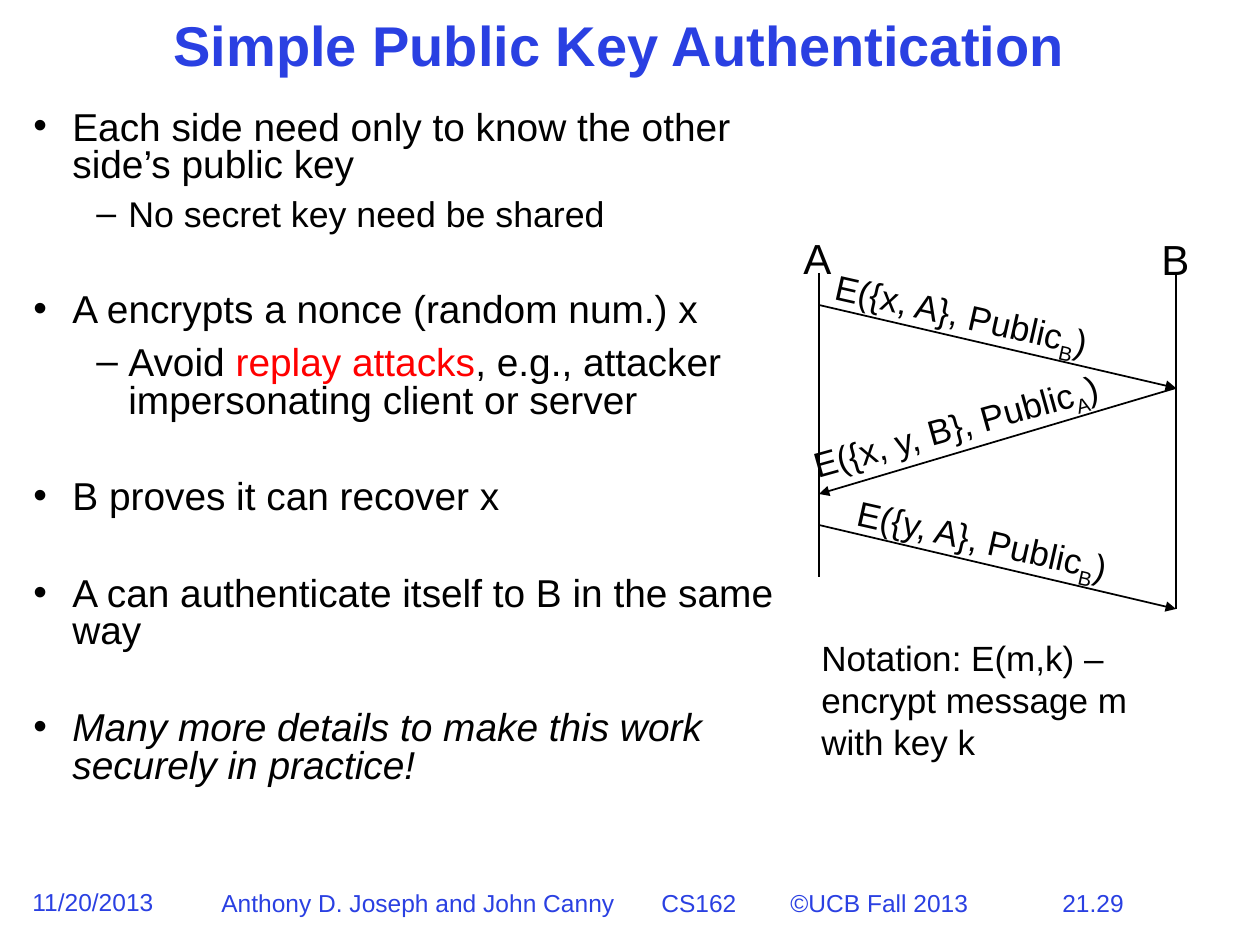
from dataclasses import dataclass

from lxml.etree import SubElement
from pptx import Presentation
from pptx.dml.color import RGBColor
from pptx.enum.shapes import MSO_CONNECTOR
from pptx.enum.text import MSO_ANCHOR, MSO_AUTO_SIZE, PP_ALIGN
from pptx.oxml.ns import qn
from pptx.util import Pt

SCALE = 914400 // 126
BLUE, BLACK, RED = "2A40E2", "000000", "FF0000"
LEFT, RIGHT = 819, 1176


@dataclass
class Label:
    text: str
    x: int
    y: int
    w: int
    h: int
    size: int
    color: str = BLACK
    sub: str = ""
    end: str = ""
    turn: float = 0
    wrap: bool = False
    tabs: tuple[int, ...] = ()


@dataclass
class Line:
    x1: int
    y1: int
    x2: int
    y2: int
    arrow: bool = True


@dataclass
class Point:
    text: str
    level: int = 0
    size: float = 22.2
    gap: float = 9
    hot: str = ""
    rest: str = ""
    slant: bool = False


LABELS = [
    Label("21.29", 1050, 882, 171, 42, 14, BLUE),
    Label("11/20/2013", 20, 881, 149, 42, 14, BLUE),
    Label("Anthony D. Joseph and John Canny\tCS162\t©UCB Fall 2013",
          209, 882, 774, 42, 14, BLUE, tabs=(440, 569)),
    Label("A", 791, 226, 53, 63, 24),
    Label("B", 1149, 227, 53, 63, 24),
    Label("E({x, A}, Public", 820, 287, 285, 60, 20, sub="B", end=")", turn=12.8),
    Label("E({x, y, B}, Public", 797, 398, 321, 60, 20, sub="A", end=")", turn=-15.6),
    Label("E({y, A}, Public", 842, 513, 285, 60, 20, sub="B", end=")", turn=12.8),
    Label("Notation: E(m,k) – encrypt message m with key k",
          809, 630, 378, 181, 20, wrap=True),
]

LINES = [
    Line(LEFT, 273, LEFT, 577, False),
    Line(RIGHT, 273, RIGHT, 609, False),
    Line(LEFT, 305, RIGHT, 388),
    Line(RIGHT, 388, LEFT, 494),
    Line(LEFT, 525, RIGHT, 609),
]

POINTS = [
    Point("Each side need only to know the other side’s public key", gap=0),
    Point("No secret key need be shared", 1, 20.4, 8.2),
    Point("A encrypts a nonce (random num.) x", gap=34),
    Point("Avoid ", 1, hot="replay attacks",
          rest=", e.g., attacker impersonating client or server"),
    Point("B proves it can recover x", gap=34),
    Point("A can authenticate itself to B in the same way", gap=34),
    Point("Many more details to make this work securely in practice!", gap=34, slant=True),
]


def px(size: int) -> int:
    return size * SCALE


def paint(font, color: str) -> None:
    font.color.rgb = RGBColor.from_string(color)


def style(para, size: float, color: str) -> None:
    para.font.name = "Arial"
    para.font.size = Pt(size)
    paint(para.font, color)


def add_run(para, text: str):
    run = para.add_run()
    run.text = text
    return run


def add_box(slide, x: int, y: int, w: int, h: int, wrap: bool):
    box = slide.shapes.add_textbox(px(x), px(y), px(w), px(h))
    box.text_frame.word_wrap = wrap
    return box


def add_title(slide, text: str) -> None:
    title = slide.shapes.title
    title.left, title.top, title.width, title.height = map(px, (126, -10, 987, 116))
    frame = title.text_frame
    frame.text = text
    frame.auto_size = MSO_AUTO_SIZE.NONE
    frame.vertical_anchor = MSO_ANCHOR.MIDDLE
    para = frame.paragraphs[0]
    para.alignment = PP_ALIGN.CENTER
    para.line_spacing = 0.9
    style(para, 32, BLUE)
    para.font.bold = True


def add_label(slide, label: Label) -> None:
    box = add_box(slide, label.x, label.y, label.w, label.h, label.wrap)
    box.rotation = label.turn
    para = box.text_frame.paragraphs[0]
    if label.tabs:
        stops = SubElement(para._p.get_or_add_pPr(), qn("a:tabLst"))
        for stop in label.tabs:
            SubElement(stops, qn("a:tab"), pos=str(px(stop)), algn="l")
    add_run(para, label.text)
    if label.sub:
        low = add_run(para, label.sub)
        low._r.get_or_add_rPr().set("baseline", "-25000")
        add_run(para, label.end)
    style(para, label.size, label.color)


def add_line(slide, line: Line) -> None:
    ends = map(px, (line.x1, line.y1, line.x2, line.y2))
    shape = slide.shapes.add_connector(MSO_CONNECTOR.STRAIGHT, *ends)
    paint(shape.line, BLACK)
    shape.line.width = Pt(1)
    if line.arrow:
        SubElement(shape.line._get_or_add_ln(), qn("a:tailEnd"), type="triangle")
    SubElement(shape._element.spPr, qn("a:effectLst"))


def add_point(para, point: Point) -> None:
    para.level = point.level
    mark, left, hang = (("•", 39, 39), ("–", 95, 32))[point.level]
    props = para._p.get_or_add_pPr()
    props.set("marL", str(px(left)))
    props.set("indent", str(-px(hang)))
    SubElement(props, qn("a:buFont"), typeface="Arial")
    SubElement(props, qn("a:buChar"), char=mark)
    para.line_spacing = 0.8
    para.space_before = Pt(point.gap)
    add_run(para, point.text)
    if point.hot:
        paint(add_run(para, point.hot).font, RED)
        add_run(para, point.rest)
    style(para, point.size, BLACK)
    if point.slant:
        para.font.italic = True


def add_points(slide, points: list[Point]) -> None:
    frame = add_box(slide, 21, 105, 777, 735, True).text_frame
    for i, point in enumerate(points):
        add_point(frame.add_paragraph() if i else frame.paragraphs[0], point)


def main() -> None:
    deck = Presentation()
    deck.slide_width, deck.slide_height = px(1260), px(945)
    slide = deck.slides.add_slide(deck.slide_layouts[5])
    add_title(slide, "Simple Public Key Authentication")
    add_points(slide, POINTS)
    for line in LINES:
        add_line(slide, line)
    for label in LABELS:
        add_label(slide, label)
    deck.save("out.pptx")


if __name__ == "__main__":
    main()
